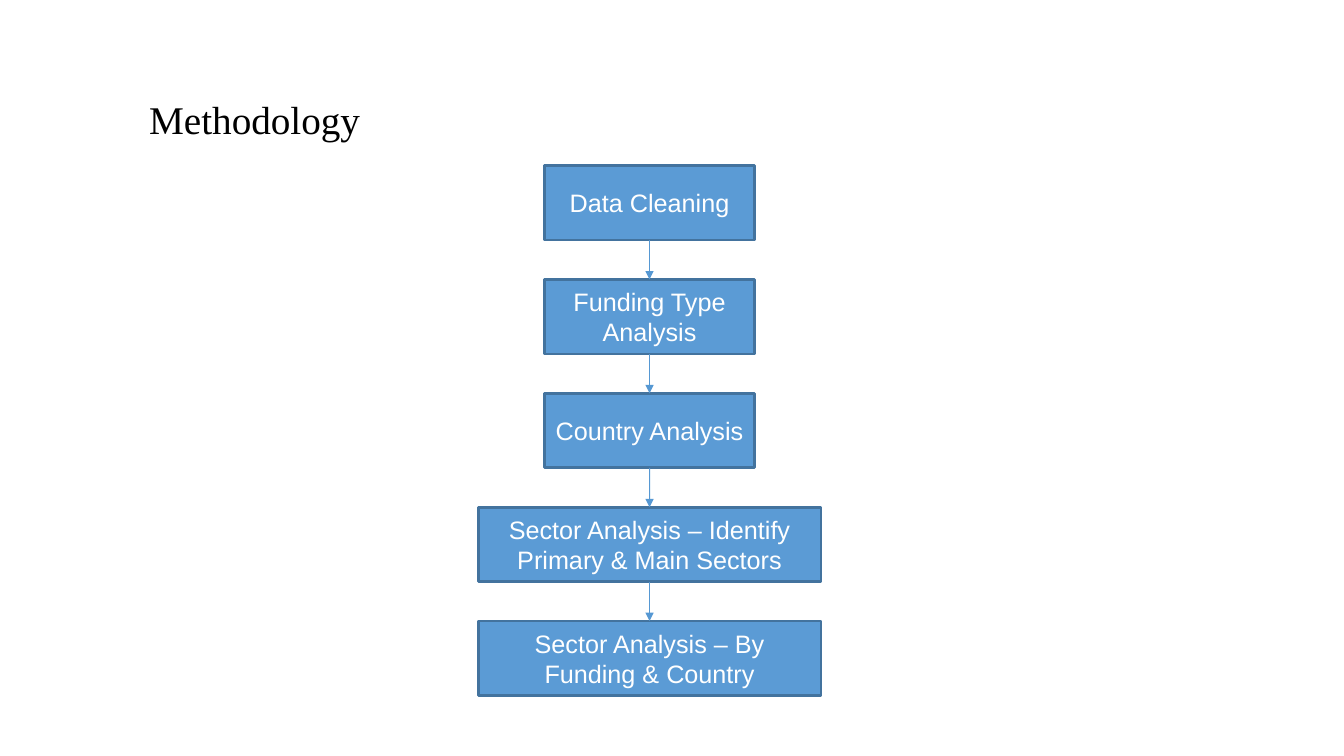
"""Build the Methodology slide: a title above a vertical five-step flow."""
from lxml import etree
from pptx import Presentation, util as u
from pptx.dml.color import RGBColor
from pptx.enum import shapes, text
from pptx.oxml.ns import qn

TITLE = "Methodology"
NARROW, WIDE = 5.31, 8.64
STEPS = [
    ("Data Cleaning", NARROW),
    ("Funding Type Analysis", NARROW),
    ("Country Analysis", NARROW),
    ("Sector Analysis – Identify Primary & Main Sectors", WIDE),
    ("Sector Analysis – By Funding & Country", WIDE),
]
CENTER_X, FIRST_TOP, STEP_H, PITCH = 16.37, 4.17, 1.88, 2.87

BLACK = RGBColor(0x00, 0x00, 0x00)
WHITE = RGBColor(0xFF, 0xFF, 0xFF)
BLUE = RGBColor(0x5B, 0x9B, 0xD5)
OUTLINE = RGBColor(0x43, 0x73, 0x9E)
ARROW = RGBColor(0x56, 0x98, 0xD3)


def write(sp, content, font="Arial", size=18, color=WHITE,
          align=text.PP_ALIGN.CENTER, spacing=1.0):
    tf = sp.text_frame
    tf.word_wrap = True
    tf.vertical_anchor = text.MSO_ANCHOR.MIDDLE
    p = tf.paragraphs[0]
    p.alignment = align
    p.line_spacing = spacing
    r = p.add_run()
    r.text = content
    r.font.name = font
    r.font.size = u.Pt(size)
    r.font.color.rgb = color


def add_step(s, label, left, top, width):
    sp = s.shapes.add_shape(shapes.MSO_SHAPE.RECTANGLE, u.Cm(left), u.Cm(top),
                            u.Cm(width), u.Cm(STEP_H))
    sp.shadow.inherit = False
    sp.fill.solid()
    sp.fill.fore_color.rgb = BLUE
    sp.line.color.rgb = OUTLINE
    sp.line.width = u.Pt(2)
    write(sp, label)
    return sp


def add_arrow(s, upper, lower):
    c = s.shapes.add_connector(shapes.MSO_CONNECTOR.STRAIGHT, 0, 0, 0, 0)
    c.begin_connect(upper, 2)
    c.end_connect(lower, 0)
    c.line.color.rgb = ARROW
    c.line.width = u.Pt(0.75)
    etree.SubElement(c.line._get_or_add_ln(), qn("a:tailEnd"), type="triangle")
    etree.SubElement(c._element.spPr, qn("a:effectLst"))


def main():
    prs = Presentation()
    prs.slide_width, prs.slide_height = u.Cm(33.87), u.Cm(19.05)
    s = prs.slides.add_slide(prs.slide_layouts[6])

    title = s.shapes.add_textbox(u.Cm(3.15), u.Cm(1.78), u.Cm(25.88), u.Cm(2.39))
    title.text_frame.margin_left = u.Cm(0.61)
    title.text_frame.margin_top = u.Cm(0.33)
    write(title, TITLE, font="Times New Roman", size=28, color=BLACK,
          align=text.PP_ALIGN.LEFT, spacing=0.9)

    boxes = [add_step(s, label, CENTER_X - width / 2, FIRST_TOP + i * PITCH, width)
             for i, (label, width) in enumerate(STEPS)]
    for upper, lower in zip(boxes, boxes[1:]):
        add_arrow(s, upper, lower)

    prs.save("out.pptx")


if __name__ == "__main__":
    main()
